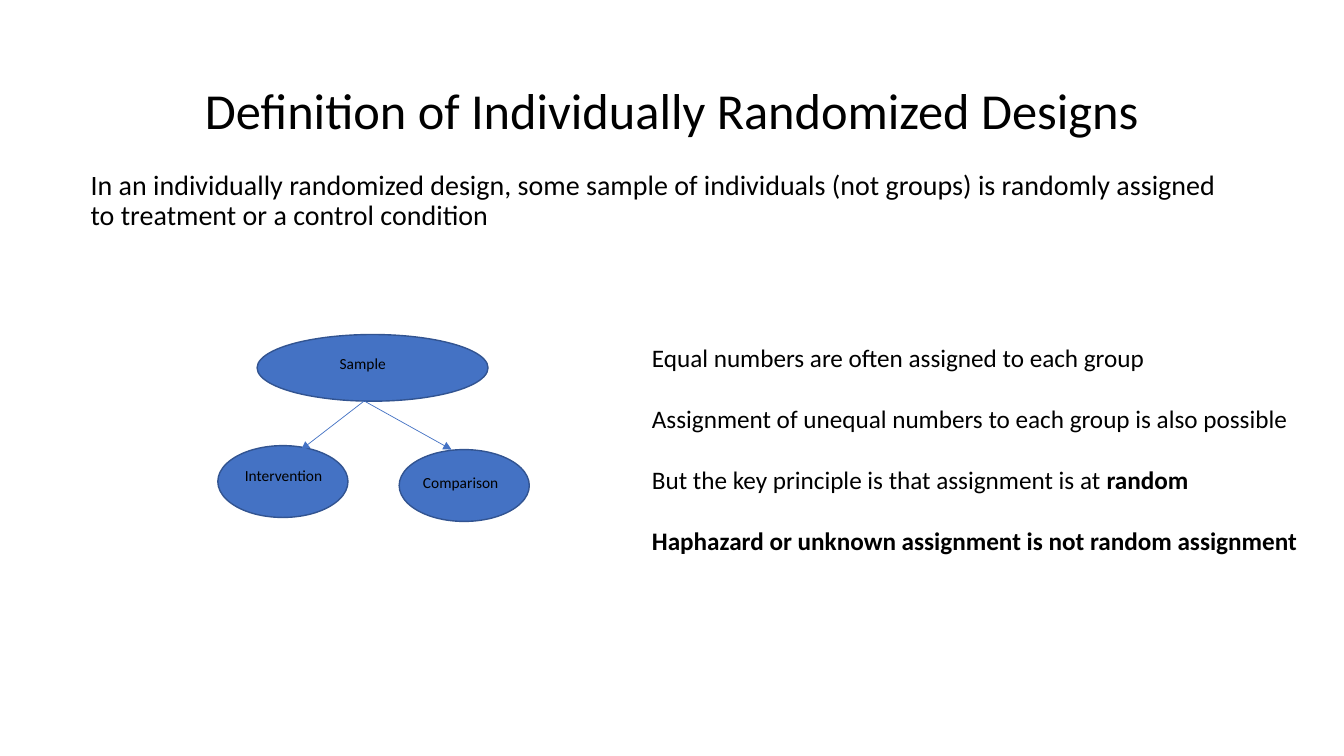
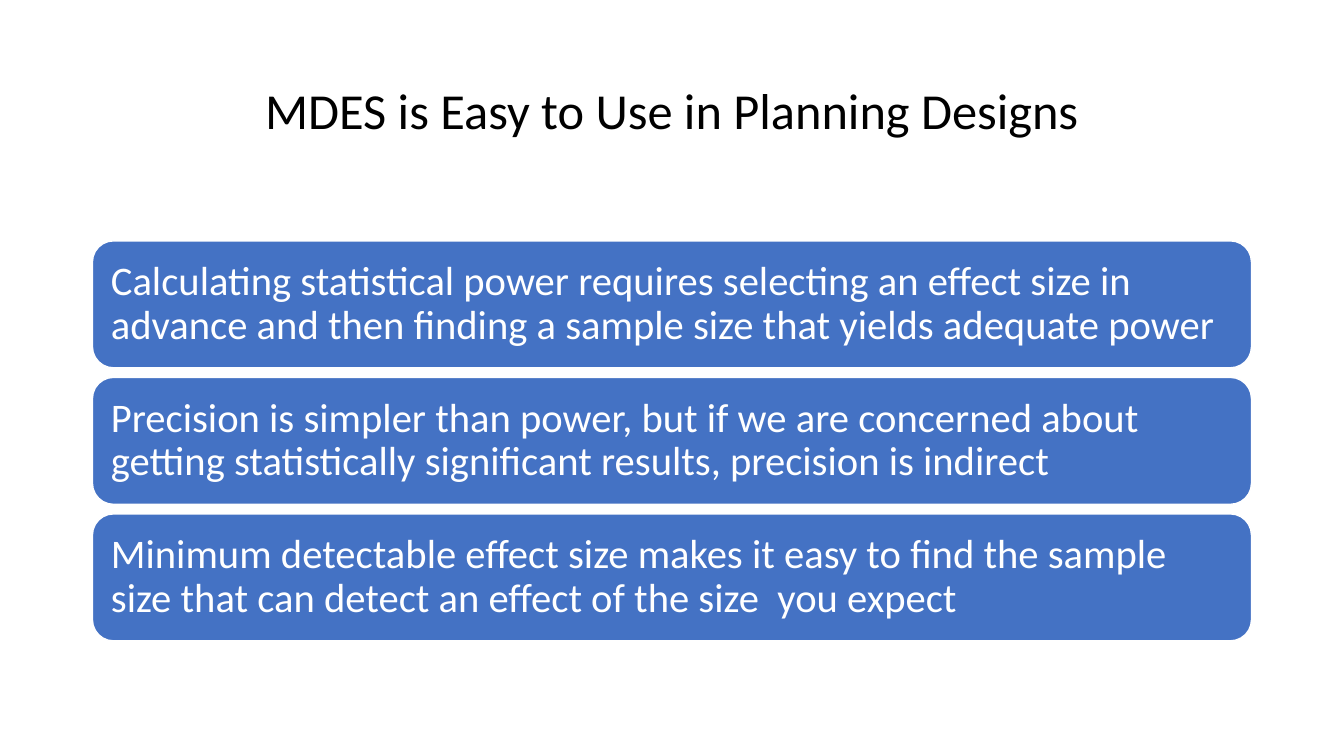
"""Build two slides on individually randomized designs and planning with MDES."""
from dataclasses import dataclass

from lxml import etree
from pptx import Presentation
from pptx import util as u
from pptx.dml.color import RGBColor
from pptx.enum import shapes, text
from pptx.oxml import ns

FONT = "Calibri"
BLACK, WHITE, BLUE, NAVY = "000000", "FFFFFF", "4472C4", "325491"
MARGIN, CONTENT_WIDTH = 2.33, 29.21
TITLE_ONLY, TITLE_AND_BODY = 5, 1


@dataclass(frozen=True)
class Area:
    left: float
    top: float
    width: float
    height: float

    def lengths(self) -> tuple:
        return tuple(u.Cm(n) for n in (self.left, self.top, self.width, self.height))


@dataclass(frozen=True)
class Span:
    words: str
    bold: bool = False


@dataclass(frozen=True)
class Node:
    label: str
    oval: Area
    label_left: float
    label_top: float


@dataclass(frozen=True)
class Arrow:
    start: tuple[float, float]
    end: tuple[float, float]


TITLE_AREA = Area(MARGIN, 1.02, CONTENT_WIDTH, 3.68)
BODY_AREA = Area(2.03, 4.19, CONTENT_WIDTH, 12.09)
NOTES_AREA = Area(16.18, 8.51, 16.92, 5.64)
DEFINITION = (
    "In an individually randomized design, some sample of individuals (not groups) "
    "is randomly assigned to treatment or a control condition"
)
NODES = [
    Node("Sample", Area(6.48, 8.43, 5.82, 1.68), 8.31, 8.81),
    Node("Intervention", Area(5.49, 11.23, 3.28, 1.81), 5.92, 11.61),
    Node("Comparison", Area(10.06, 11.33, 3.28, 1.81), 10.41, 11.81),
]
ARROWS = [
    Arrow((9.17, 10.11), (7.59, 11.33)),
    Arrow((9.19, 10.11), (11.38, 11.33)),
]
PRINCIPLES = [
    [Span("Equal numbers are often assigned to each group")],
    [Span("Assignment of unequal numbers to each group is also possible")],
    [Span("But the key principle is that assignment is at "), Span("random", True)],
    [Span("Haphazard or unknown assignment is not random assignment", True)],
]
CARDS = [
    "Calculating statistical power requires selecting an effect size in advance "
    "and then finding a sample size that yields adequate power",
    "Precision is simpler than power, but if we are concerned about getting "
    "statistically significant results, precision is indirect",
    "Minimum detectable effect size makes it easy to find the sample size that "
    "can detect an effect of the size  you expect",
]
CARD_TOP, CARD_HEIGHT, CARD_GAP, CARD_INSET = 6.07, 3.2, 0.24, 0.31


def color(code: str) -> RGBColor:
    return RGBColor.from_string(code)


def write(paragraph, spans: list[Span], size: float, ink: str = BLACK,
          align=text.PP_ALIGN.LEFT, spacing: float = 1.0, before: float = 0) -> None:
    paragraph.alignment = align
    paragraph.line_spacing = spacing
    paragraph.space_before = u.Pt(before)
    paragraph.space_after = u.Pt(0)
    for span in spans:
        run = paragraph.add_run()
        run.text = span.words
        run.font.name = FONT
        run.font.size = u.Pt(size)
        run.font.bold = span.bold
        run.font.color.rgb = color(ink)


def place(box, area: Area, anchor):
    box.left, box.top, box.width, box.height = area.lengths()
    frame = box.text_frame
    frame.word_wrap = True
    frame.auto_size = text.MSO_AUTO_SIZE.NONE
    frame.vertical_anchor = anchor
    return frame.paragraphs[0]


def add_page(deck, layout: int, title: str):
    page = deck.slides.add_slide(deck.slide_layouts[layout])
    paragraph = place(page.shapes.title, TITLE_AREA, text.MSO_ANCHOR.MIDDLE)
    write(paragraph, [Span(title)], 36, align=text.PP_ALIGN.CENTER, spacing=0.9)
    return page


def add_figure(page, kind, area: Area, outline: str):
    figure = page.shapes.add_shape(kind, *area.lengths())
    figure.shadow.inherit = False
    figure.fill.solid()
    figure.fill.fore_color.rgb = color(BLUE)
    figure.line.color.rgb = color(outline)
    figure.line.width = u.Pt(1)
    return figure


def add_text(page, area: Area, paragraphs: list[list[Span]], size: float,
             gap: float = 0) -> None:
    frame = page.shapes.add_textbox(*area.lengths()).text_frame
    frame.word_wrap = True
    for index, spans in enumerate(paragraphs):
        paragraph = frame.add_paragraph() if index else frame.paragraphs[0]
        write(paragraph, spans, size, before=gap if index else 0)


def add_node(page, node: Node) -> None:
    add_figure(page, shapes.MSO_SHAPE.OVAL, node.oval, NAVY)
    label_area = Area(node.label_left, node.label_top, 3.05, 0.86)
    add_text(page, label_area, [[Span(node.label)]], 11)


def add_arrow(page, arrow: Arrow) -> None:
    points = [u.Cm(n) for n in (*arrow.start, *arrow.end)]
    connector = page.shapes.add_connector(shapes.MSO_CONNECTOR.STRAIGHT, *points)
    connector.line.color.rgb = color(BLUE)
    connector.line.width = u.Pt(0.5)
    properties = connector.element.spPr
    etree.SubElement(properties.find(ns.qn("a:ln")), ns.qn("a:tailEnd"), type="triangle")
    etree.SubElement(properties, ns.qn("a:effectLst"))


def add_definition_page(deck) -> None:
    page = add_page(deck, TITLE_AND_BODY, "Definition of Individually Randomized Designs")
    paragraph = place(page.placeholders[1], BODY_AREA, text.MSO_ANCHOR.TOP)
    properties = paragraph._p.get_or_add_pPr()
    properties.set("marL", "0")
    properties.set("indent", "0")
    etree.SubElement(properties, ns.qn("a:buNone"))
    write(paragraph, [Span(DEFINITION)], 20, spacing=0.9)
    for node in NODES:
        add_node(page, node)
    for arrow in ARROWS:
        add_arrow(page, arrow)
    add_text(page, NOTES_AREA, PRINCIPLES, 18, gap=22)


def add_planning_page(deck) -> None:
    page = add_page(deck, TITLE_ONLY, "MDES is Easy to Use in Planning Designs")
    for index, words in enumerate(CARDS):
        top = CARD_TOP + index * (CARD_HEIGHT + CARD_GAP)
        area = Area(MARGIN, top, CONTENT_WIDTH, CARD_HEIGHT)
        card = add_figure(page, shapes.MSO_SHAPE.ROUNDED_RECTANGLE, area, WHITE)
        paragraph = place(card, area, text.MSO_ANCHOR.MIDDLE)
        frame = card.text_frame
        frame.margin_left = frame.margin_right = u.Cm(CARD_INSET)
        frame.margin_top = frame.margin_bottom = u.Cm(CARD_INSET)
        write(paragraph, [Span(words)], 29, WHITE, spacing=0.9)


def main() -> None:
    deck = Presentation()
    deck.slide_width, deck.slide_height = u.Cm(33.87), u.Cm(19.05)
    add_definition_page(deck)
    add_planning_page(deck)
    deck.save("out.pptx")


if __name__ == "__main__":
    main()
